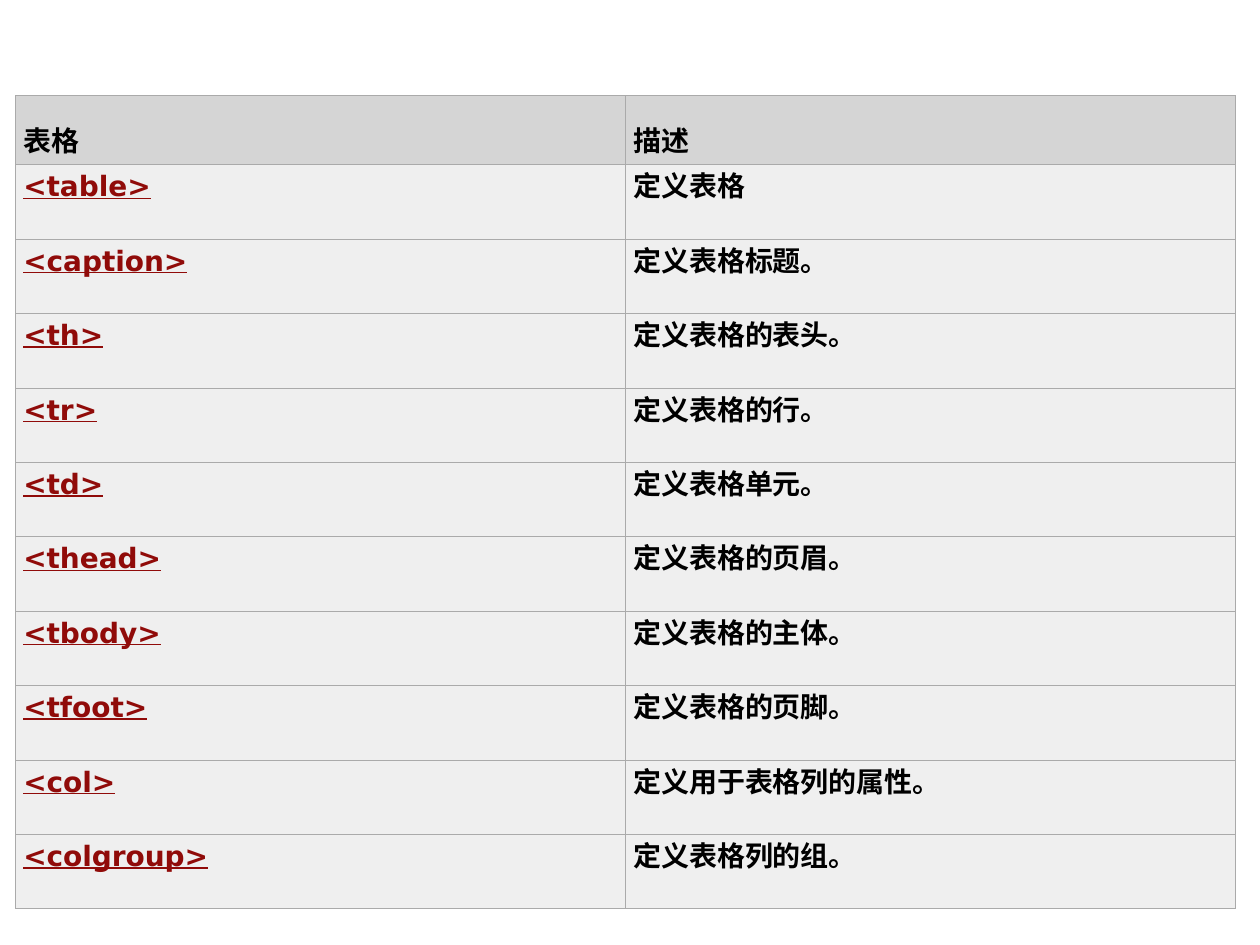
from lxml import etree
from pptx import Presentation
from pptx.dml.color import RGBColor
from pptx.enum import lang, text
from pptx.oxml import ns
from pptx.util import Cm, Pt

BLACK = RGBColor(0x00, 0x00, 0x00)
LINK_RED = RGBColor(0x90, 0x0B, 0x09)
HEADER_GREY = RGBColor(0xD5, 0xD5, 0xD5)
BODY_GREY = RGBColor(0xEF, 0xEF, 0xEF)
BORDER_GREY = RGBColor(0xAA, 0xAA, 0xAA)

FONT = "DejaVu Sans"
FONT_FORMAT = {
    "name": FONT,
    "size": Pt(16),
    "bold": True,
    "language_id": lang.MSO_LANGUAGE_ID.SIMPLIFIED_CHINESE,
}
CELL_FORMAT = {
    "margin_left": Cm(0.16),
    "margin_right": Cm(0.41),
    "margin_top": Cm(0.13),
    "margin_bottom": Cm(0.13),
}
TAGS = [
    ("表格", "描述"),
    ("<table>", "定义表格"),
    ("<caption>", "定义表格标题。"),
    ("<th>", "定义表格的表头。"),
    ("<tr>", "定义表格的行。"),
    ("<td>", "定义表格单元。"),
    ("<thead>", "定义表格的页眉。"),
    ("<tbody>", "定义表格的主体。"),
    ("<tfoot>", "定义表格的页脚。"),
    ("<col>", "定义用于表格列的属性。"),
    ("<colgroup>", "定义表格列的组。"),
]
HEADER_HEIGHT, ROW_HEIGHT, COLUMN_WIDTH = Cm(1.39), Cm(1.5), Cm(12.3)


def add_borders(cell):
    """Draw all four sides; call before filling, as the schema wants lines first."""
    properties = cell._tc.get_or_add_tcPr()
    for side in ("a:lnL", "a:lnR", "a:lnT", "a:lnB"):
        line = etree.SubElement(properties, ns.qn(side), w=str(Pt(0.45)))
        fill = etree.SubElement(line, ns.qn("a:solidFill"))
        etree.SubElement(fill, ns.qn("a:srgbClr"), val=str(BORDER_GREY))


prs = Presentation()
prs.slide_width, prs.slide_height = Cm(25.4), Cm(19.05)
slide = prs.slides.add_slide(prs.slide_layouts[6])

tag_table = slide.shapes.add_table(
    len(TAGS), 2, Cm(0.31), Cm(1.93),
    2 * COLUMN_WIDTH, HEADER_HEIGHT + (len(TAGS) - 1) * ROW_HEIGHT,
).table
tag_table.horz_banding = False
for column in tag_table.columns:
    column.width = COLUMN_WIDTH

for row_index, entries in enumerate(TAGS):
    is_header = row_index == 0
    tag_table.rows[row_index].height = HEADER_HEIGHT if is_header else ROW_HEIGHT
    for column_index, entry in enumerate(entries):
        is_link = column_index == 0 and not is_header
        cell = tag_table.cell(row_index, column_index)
        for key, value in CELL_FORMAT.items():
            setattr(cell, key, value)
        cell.vertical_anchor = (
            text.MSO_ANCHOR.BOTTOM if is_header else text.MSO_ANCHOR.TOP
        )
        add_borders(cell)
        cell.fill.solid()
        cell.fill.fore_color.rgb = HEADER_GREY if is_header else BODY_GREY

        run = cell.text_frame.paragraphs[0].add_run()
        run.text = entry
        for key, value in FONT_FORMAT.items():
            setattr(run.font, key, value)
        run.font.underline = is_link
        run.font.color.rgb = LINK_RED if is_link else BLACK
        etree.SubElement(run.font._element, ns.qn("a:ea"), typeface=FONT)

prs.save("out.pptx")
